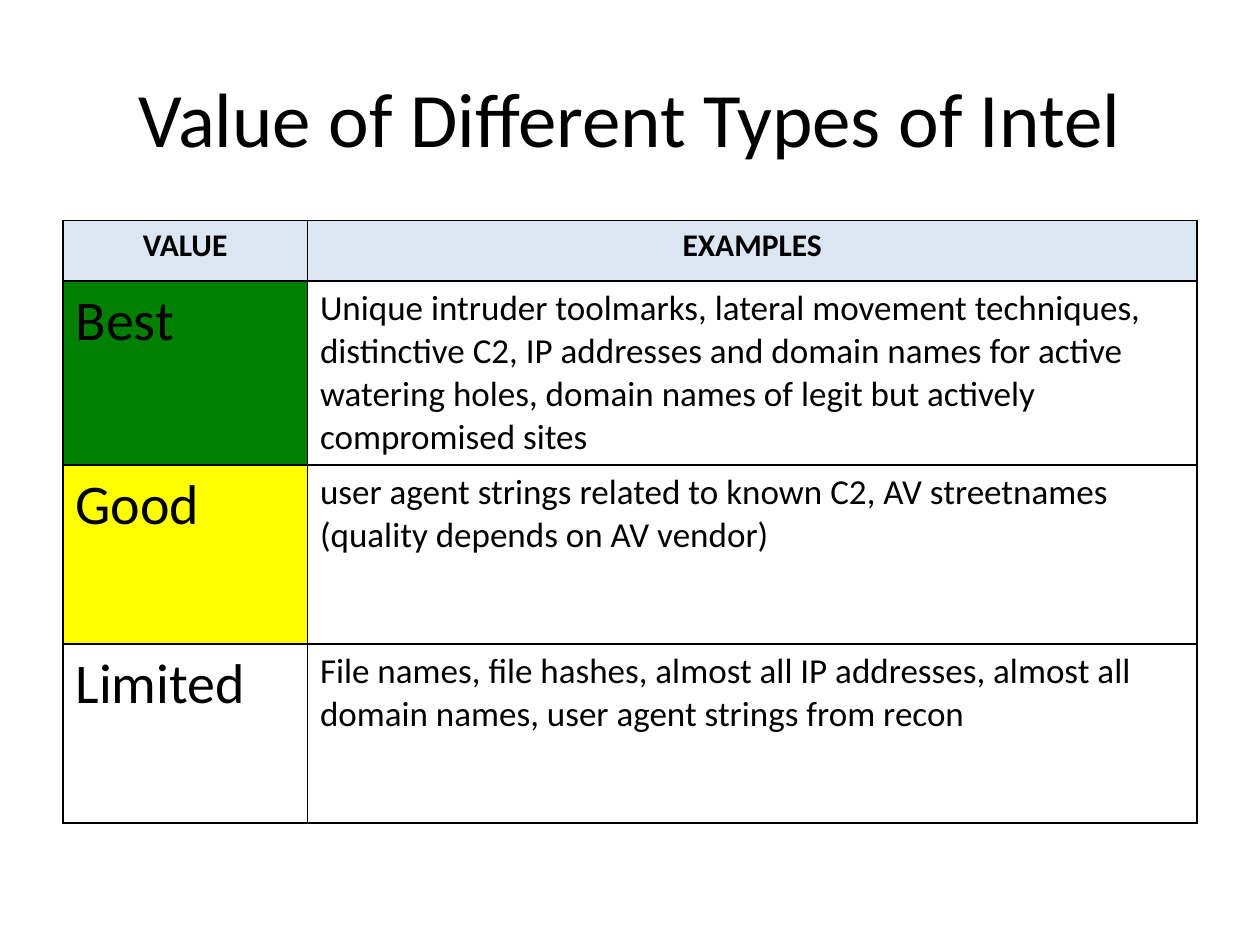
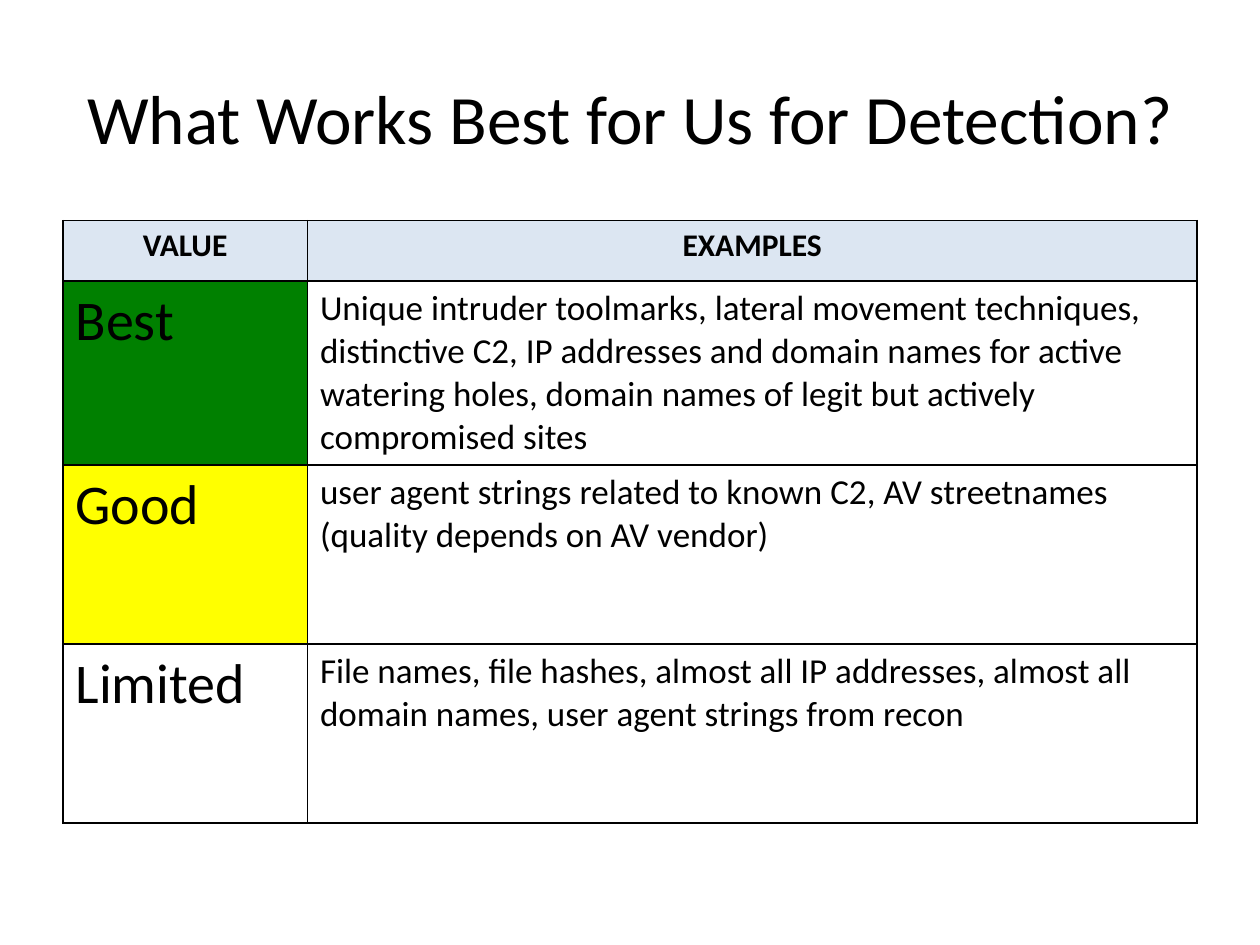
from lxml.etree import SubElement
from pptx import Presentation
from pptx.dml.color import RGBColor
from pptx.enum.text import MSO_ANCHOR, PP_ALIGN
from pptx.oxml.ns import qn
from pptx.util import Inches, Pt

TITLES = [
    ("Value of Different Types of Intel", 44),
    ("What Works Best for Us for Detection?", 39.6),
]
HEADINGS = ("VALUE", "EXAMPLES")
RATINGS = [
    ("Best", "green",
     "Unique intruder toolmarks, lateral movement techniques, distinctive C2, "
     "IP addresses and domain names for active watering holes, domain names of "
     "legit but actively compromised sites"),
    ("Good", "yellow",
     "user agent strings related to known C2, AV streetnames "
     "(quality depends on AV vendor)"),
    ("Limited", "white",
     "File names, file hashes, almost all IP addresses, almost all domain names, "
     "user agent strings from recon"),
]

COLORS = {
    "black": "000000",
    "white": "FFFFFF",
    "heading": "DCE6F2",
    "green": "008000",
    "yellow": "FFFF00",
}
FONT = "Calibri"
SLIDE_WIDTH, SLIDE_HEIGHT = 10, 7.5
MARGIN = 0.5
CONTENT_WIDTH = SLIDE_WIDTH - 2 * MARGIN
TITLE_TOP, TITLE_HEIGHT = 0.3, 1.25
TABLE_TOP = 1.75
VALUE_WIDTH = 1.94
COLUMN_WIDTHS = (VALUE_WIDTH, CONTENT_WIDTH - VALUE_WIDTH)
ROW_HEIGHTS = (0.48,) + (1.42,) * len(RATINGS)


def style_paragraph(paragraph, size, bold=False, alignment=PP_ALIGN.LEFT):
    paragraph.alignment = alignment
    paragraph.font.name = FONT
    paragraph.font.size = Pt(size)
    paragraph.font.bold = bold
    paragraph.font.color.rgb = RGBColor.from_string(COLORS["black"])


def add_borders(cell):
    """Outline a cell; borders must precede its fill in the XML."""
    properties = cell._tc.get_or_add_tcPr()
    for side in ("a:lnL", "a:lnR", "a:lnT", "a:lnB"):
        line = SubElement(properties, qn(side), w=str(Pt(1)))
        fill = SubElement(line, qn("a:solidFill"))
        SubElement(fill, qn("a:srgbClr"), val=COLORS["black"])


def fill_cell(cell, text, color, size, **text_style):
    add_borders(cell)
    cell.fill.solid()
    cell.fill.fore_color.rgb = RGBColor.from_string(COLORS[color])
    cell.text = text
    style_paragraph(cell.text_frame.paragraphs[0], size, **text_style)


def add_title(slide, text, size):
    title = slide.shapes.title
    title.left, title.top = Inches(MARGIN), Inches(TITLE_TOP)
    title.width, title.height = Inches(CONTENT_WIDTH), Inches(TITLE_HEIGHT)
    title.text_frame.text = text
    title.text_frame.vertical_anchor = MSO_ANCHOR.MIDDLE
    style_paragraph(title.text_frame.paragraphs[0], size, alignment=PP_ALIGN.CENTER)


def add_ratings_table(slide):
    table = slide.shapes.add_table(
        len(ROW_HEIGHTS), len(COLUMN_WIDTHS), Inches(MARGIN), Inches(TABLE_TOP),
        Inches(CONTENT_WIDTH), Inches(sum(ROW_HEIGHTS))).table
    for column, width in zip(table.columns, COLUMN_WIDTHS):
        column.width = Inches(width)
    for row, height in zip(table.rows, ROW_HEIGHTS):
        row.height = Inches(height)
    for index, heading in enumerate(HEADINGS):
        fill_cell(table.cell(0, index), heading, "heading", 18,
                  bold=True, alignment=PP_ALIGN.CENTER)
    for index, (value, color, examples) in enumerate(RATINGS, start=1):
        fill_cell(table.cell(index, 0), value, color, 32)
        fill_cell(table.cell(index, 1), examples, "white", 20)


def main():
    presentation = Presentation()
    presentation.slide_width = Inches(SLIDE_WIDTH)
    presentation.slide_height = Inches(SLIDE_HEIGHT)
    title_only = presentation.slide_layouts.get_by_name("Title Only")
    for text, size in TITLES:
        slide = presentation.slides.add_slide(title_only)
        add_title(slide, text, size)
        add_ratings_table(slide)
    presentation.save("out.pptx")


if __name__ == "__main__":
    main()
